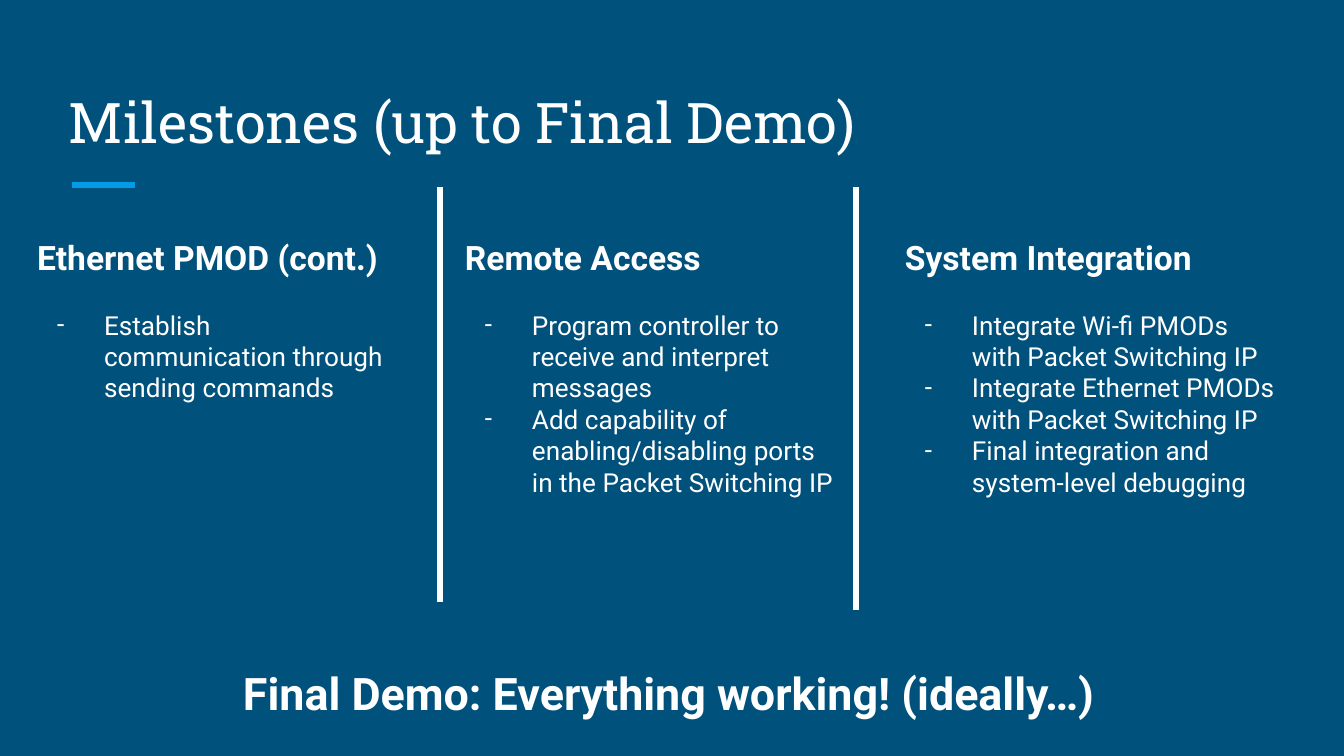
from dataclasses import dataclass

from lxml.etree import SubElement
from pptx import Presentation
from pptx.dml.color import RGBColor
from pptx.enum.shapes import MSO_CONNECTOR as Connector
from pptx.enum.text import MSO_ANCHOR as Anchor
from pptx.oxml.ns import qn
from pptx.slide import Slide
from pptx.text.text import TextFrame, _Paragraph as Paragraph
from pptx.util import Emu, Pt

PX_PER_INCH = 134.4


@dataclass(frozen=True)
class Theme:
    background: str = "00517C"
    text: str = "FFFFFF"
    accent: str = "039BE5"
    title_font: str = "Roboto Slab"
    body_font: str = "Roboto"
    title_size: int = 30
    footer_size: int = 24
    heading_size: int = 18
    bullet_size: int = 14
    bullet_gap: int = 17
    line_width: int = 3


@dataclass(frozen=True)
class Box:
    left: int
    top: int
    width: int
    height: int


@dataclass(frozen=True)
class Rule:
    x1: int
    y1: int
    x2: int
    y2: int
    color: str


@dataclass(frozen=True)
class Column:
    box: Box
    heading: str
    bullets: tuple[str, ...]


THEME = Theme()
INSET = 13
BULLET_INDENT = 67
BULLET_HANG = -47
FOOTER_INDENT = 153
COLUMN_TOP = 224

RULES = (
    Rule(72, 185, 135, 185, THEME.accent),
    Rule(440, 602, 440, 187, THEME.text),
    Rule(856, 610, 856, 187, THEME.text),
)
COLUMNS = (
    Column(Box(24, COLUMN_TOP, 384, 441), "Ethernet PMOD (cont.)", (
        "Establish communication through sending commands",
    )),
    Column(Box(452, COLUMN_TOP, 396, 441), "Remote Access", (
        "Program controller to receive and interpret messages",
        "Add capability of enabling/disabling ports in the Packet Switching IP",
    )),
    Column(Box(892, COLUMN_TOP, 396, 454), "System Integration", (
        "Integrate Wi-fi PMODs with Packet Switching IP",
        "Integrate Ethernet PMODs with Packet Switching IP",
        "Final integration and system-level debugging",
    )),
)


def px(length: int) -> Emu:
    return Emu(round(length * 914400 / PX_PER_INCH))


def add_text_frame(page: Slide, box: Box, anchor: Anchor = Anchor.TOP) -> TextFrame:
    shape = page.shapes.add_textbox(px(box.left), px(box.top), px(box.width), px(box.height))
    frame = shape.text_frame
    frame.word_wrap = True
    frame.vertical_anchor = anchor
    frame.margin_left = frame.margin_right = px(INSET)
    frame.margin_top = frame.margin_bottom = px(INSET)
    return frame


def format_paragraph(para: Paragraph, font: str, size: int, bold: bool = False) -> None:
    for span in para.runs:
        span.font.name = font
        span.font.size = Pt(size)
        span.font.bold = bold
        span.font.color.rgb = RGBColor.from_string(THEME.text)


def set_indent(para: Paragraph, margin: int, first_line: int = 0) -> None:
    properties = para._p.get_or_add_pPr()
    properties.set("marL", str(px(margin)))
    properties.set("indent", str(px(first_line)))


def add_dash(para: Paragraph) -> None:
    set_indent(para, BULLET_INDENT, BULLET_HANG)
    properties = para._p.get_or_add_pPr()
    color = SubElement(properties, qn("a:buClr"))
    SubElement(color, qn("a:srgbClr"), val=THEME.text)
    SubElement(properties, qn("a:buFont"), typeface=THEME.body_font)
    SubElement(properties, qn("a:buChar"), char="-")


def draw_rule(page: Slide, rule: Rule) -> None:
    line = page.shapes.add_connector(
        Connector.STRAIGHT, px(rule.x1), px(rule.y1), px(rule.x2), px(rule.y2))
    line.line.color.rgb = RGBColor.from_string(rule.color)
    line.line.width = Pt(THEME.line_width)
    SubElement(line._element.spPr, qn("a:effectLst"))


def draw_column(page: Slide, column: Column) -> None:
    frame = add_text_frame(page, column.box)
    frame.text = column.heading
    format_paragraph(frame.paragraphs[0], THEME.body_font, THEME.heading_size, bold=True)
    for index, bullet in enumerate(column.bullets):
        para = frame.add_paragraph()
        para.text = bullet
        para.space_before = Pt(0 if index else THEME.bullet_gap)
        format_paragraph(para, THEME.body_font, THEME.bullet_size)
        add_dash(para)


def draw_title(page: Slide) -> None:
    frame = add_text_frame(page, Box(56, 67, 1230, 101), Anchor.BOTTOM)
    frame.text = "Milestones (up to Final Demo)"
    format_paragraph(frame.paragraphs[0], THEME.title_font, THEME.title_size)


def draw_footer(page: Slide) -> None:
    frame = add_text_frame(page, Box(77, 653, 1173, 73))
    frame.text = "Final Demo: Everything working! (ideally…)"
    para = frame.paragraphs[0]
    format_paragraph(para, THEME.body_font, THEME.footer_size, bold=True)
    set_indent(para, FOOTER_INDENT)


def main() -> None:
    deck = Presentation()
    deck.slide_width, deck.slide_height = px(1344), px(756)
    page = deck.slides.add_slide(deck.slide_layouts[6])
    page.background.fill.solid()
    page.background.fill.fore_color.rgb = RGBColor.from_string(THEME.background)
    draw_title(page)
    for column in COLUMNS:
        draw_column(page, column)
    for rule in RULES:
        draw_rule(page, rule)
    draw_footer(page)
    deck.save("out.pptx")


if __name__ == "__main__":
    main()
